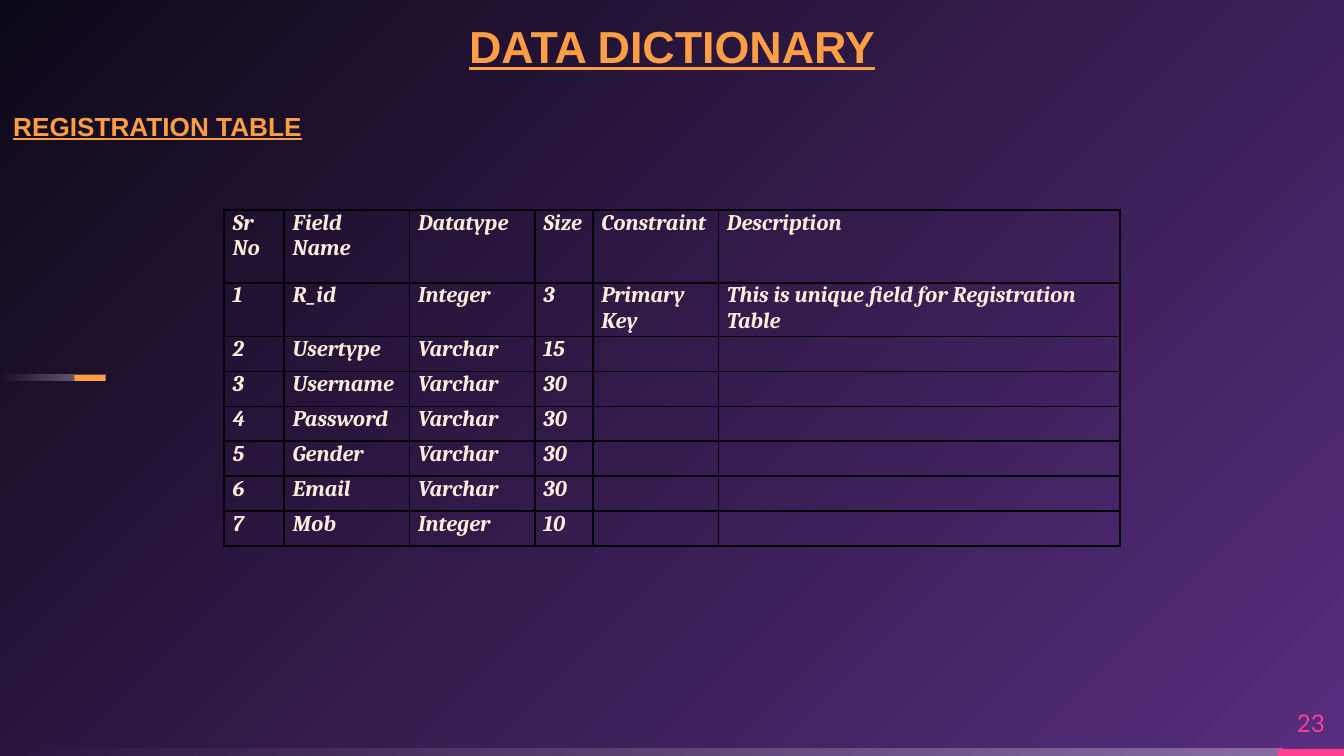
from typing import NamedTuple, Optional

from lxml import etree
from pptx import Presentation
from pptx.dml.color import RGBColor
from pptx.enum import shapes, text
from pptx.oxml import ns
from pptx.util import Pt

ORANGE = RGBColor(0xFF, 0x9E, 0x44)
PINK = RGBColor(0xFF, 0x40, 0x93)
CREAM = RGBColor(0xFF, 0xEC, 0xDA)
WHITE = RGBColor(0xFF, 0xFF, 0xFF)
BLACK = RGBColor(0, 0, 0)
PURPLE = RGBColor(0x57, 0x2D, 0x7E)
NIGHT = RGBColor(0x0E, 0x09, 0x18)


class Bar(NamedTuple):
    left: float
    top: float
    width: float
    height: float
    color: Optional[RGBColor]  # None means a white fade


class Label(NamedTuple):
    text: str
    left: float
    top: float
    width: float
    height: float
    align: text.PP_ALIGN
    font: dict
    frame: dict


HEADING = {"name": "Arial", "bold": True, "underline": True}
CELL_FONT = {"name": "Cambria", "size": Pt(12), "bold": True, "italic": True}
GROW = {"word_wrap": True, "auto_size": text.MSO_AUTO_SIZE.SHAPE_TO_FIT_TEXT}
NO_INSETS = {f"margin_{side}": 0 for side in ("left", "top", "right", "bottom")}
CENTRED = {"word_wrap": True, "vertical_anchor": text.MSO_ANCHOR.MIDDLE, **NO_INSETS}
CELL_FORMAT = {**NO_INSETS, "margin_left": Pt(4.5), "margin_right": Pt(4.5)}

BARS = [
    Bar(0, 401.2, 687, 3.8, None),
    Bar(684.5, 401.2, 35.5, 3.8, PINK),
    Bar(0, 200.7, 40, 3.4, None),
    Bar(39.8, 200.7, 16.8, 3.4, ORANGE),
]
LABELS = [
    Label("23", 684.5, 373.7, 35.5, 27.5, text.PP_ALIGN.CENTER,
          {"name": "Lato", "size": Pt(13), "color": PINK}, CENTRED),
    Label("DATA DICTIONARY", 0, 6.5, 720, 36, text.PP_ALIGN.CENTER,
          {**HEADING, "size": Pt(24), "color": ORANGE}, GROW),
    Label("REGISTRATION TABLE", 0, 55.4, 720, 24.5, text.PP_ALIGN.LEFT,
          {**HEADING, "size": Pt(14), "color": ORANGE}, GROW),
]

COLUMN_WIDTHS = [32.2, 67.2, 67.2, 31.1, 67.2, 215.2]
ROW_HEIGHTS = [39, 28.8] + [18.7] * 6
FIELDS = [
    ("Sr No", "Field Name", "Datatype", "Size", "Constraint", "Description"),
    ("1", "R_id", "Integer", "3", "Primary Key",
     "This is unique field for Registration Table"),
    ("2", "Usertype", "Varchar", "15", "", ""),
    ("3", "Username", "Varchar", "30", "", ""),
    ("4", "Password", "Varchar", "30", "", ""),
    ("5", "Gender", "Varchar", "30", "", ""),
    ("6", "Email", "Varchar", "30", "", ""),
    ("7", "Mob", "Integer", "10", "", ""),
]


def set_all(target, values: dict) -> None:
    for name, value in values.items():
        if name == "color":
            target.color.rgb = value
        else:
            setattr(target, name, value)


def add_child(parent, tag: str, **attributes: str):
    return etree.SubElement(parent, ns.qn(tag), attributes)


def set_gradient(fill, first: RGBColor, last: RGBColor) -> None:
    fill.gradient()
    for stop, color, position in zip(fill.gradient_stops, (first, last), (0, 1)):
        stop.color.rgb = color
        stop.position = position


def paint_background(s) -> None:
    """Radial gradient centred on the bottom right corner."""
    fill = s.background.fill
    set_gradient(fill, PURPLE, NIGHT)
    grad = s.background._cSld.find(".//" + ns.qn("a:gradFill"))
    grad.remove(grad.find(ns.qn("a:lin")))
    circle = add_child(grad, "a:path", path="circle")
    add_child(circle, "a:fillToRect", l="100000", t="100000")


def add_bar(s, bar: Bar) -> None:
    sp = s.shapes.add_shape(shapes.MSO_SHAPE.RECTANGLE, Pt(bar.left), Pt(bar.top),
                            Pt(bar.width), Pt(bar.height))
    sp.shadow.inherit = False
    sp.line.fill.background()
    if bar.color is not None:
        sp.fill.solid()
        sp.fill.fore_color.rgb = bar.color
        return
    set_gradient(sp.fill, WHITE, WHITE)
    sp.fill.gradient_angle = 180
    colors = sp._element.spPr.iter(ns.qn("a:srgbClr"))
    for color, alpha in zip(colors, ("30000", "0")):
        add_child(color, "a:alpha", val=alpha)


def add_label(s, label: Label) -> None:
    sp = s.shapes.add_textbox(Pt(label.left), Pt(label.top),
                              Pt(label.width), Pt(label.height))
    tf = sp.text_frame
    set_all(tf, label.frame)
    p = tf.paragraphs[0]
    p.alignment = label.align
    r = p.add_run()
    r.text = label.text
    set_all(r.font, label.font)


def add_borders(cell) -> None:
    props = cell._tc.get_or_add_tcPr()
    for side in "LRTB":
        line = add_child(props, f"a:ln{side}", w=str(Pt(1)))
        add_child(add_child(line, "a:solidFill"), "a:srgbClr", val=str(BLACK))


def fill_cell(cell, value: str) -> None:
    set_all(cell, CELL_FORMAT)
    add_borders(cell)
    cell.fill.background()
    p = cell.text_frame.paragraphs[0]
    if value:
        r = p.add_run()
        r.text = value
        set_all(r.font, {**CELL_FONT, "color": CREAM})
    else:
        add_child(p._p, "a:endParaRPr", sz="1200")


def add_field_table(s) -> None:
    frame = s.shapes.add_table(len(FIELDS), len(COLUMN_WIDTHS), Pt(120.1), Pt(112.5),
                               Pt(sum(COLUMN_WIDTHS)), Pt(sum(ROW_HEIGHTS)))
    table = frame.table
    set_all(table, {"first_row": False, "horz_banding": False})
    for column, width in zip(table.columns, COLUMN_WIDTHS):
        column.width = Pt(width)
    for row, height, values in zip(table.rows, ROW_HEIGHTS, FIELDS):
        row.height = Pt(height)
        for cell, value in zip(row.cells, values):
            fill_cell(cell, value)


def main() -> None:
    prs = Presentation()
    prs.slide_width, prs.slide_height = Pt(720), Pt(405)
    s = prs.slides.add_slide(prs.slide_layouts[6])
    paint_background(s)
    for bar in BARS:
        add_bar(s, bar)
    for label in LABELS:
        add_label(s, label)
    add_field_table(s)
    prs.save("out.pptx")


if __name__ == "__main__":
    main()
